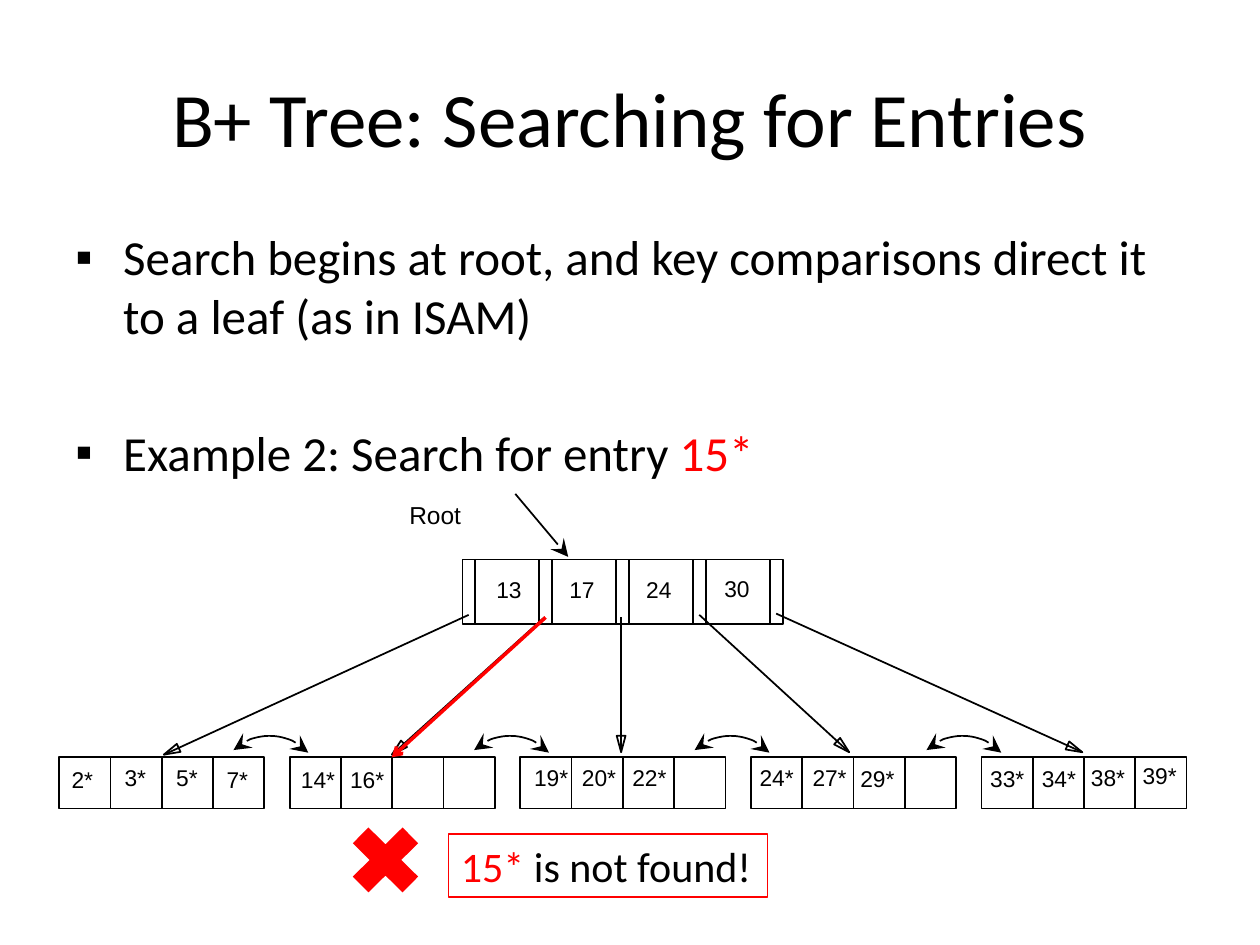
from math import hypot
from lxml.etree import SubElement
from pptx import Presentation
from pptx.dml.color import RGBColor
from pptx.enum.shapes import MSO_CONNECTOR, MSO_SHAPE
from pptx.enum.text import MSO_ANCHOR, PP_ALIGN
from pptx.oxml.ns import qn
from pptx.util import Inches, Pt

BLACK = RGBColor(0, 0, 0)
RED = RGBColor(255, 0, 0)


def grid(*spots):
    """Turn columns and rows (100 by 75 on the slide) into lengths."""
    return [Inches(spot / 10) for spot in spots]


def stroke(shape, color=BLACK, width=1, head=None, tail=None, size="med"):
    """Leave only an outline, with arrowheads at its ends if named."""
    shape.line.color.rgb = color
    shape.line.width = Pt(width)
    props = shape.element.spPr
    for tag, kind in (("a:headEnd", head), ("a:tailEnd", tail)):
        if kind:
            SubElement(props.get_or_add_ln(), qn(tag),
                       type=kind, w=size, len=size)
    if hasattr(shape, "fill"):
        shape.fill.background()
        shape.shadow.inherit = False
    else:
        SubElement(props, qn("a:effectLst"))


deck = Presentation()
deck.slide_width, deck.slide_height = grid(100, 75)
slide = deck.slides.add_slide(deck.slide_layouts[6])
shapes = slide.shapes

# Title
title = shapes.add_textbox(*grid(5, 3, 90, 12.5)).text_frame
title.word_wrap = True
title.vertical_anchor = MSO_ANCHOR.MIDDLE
title.text = "B+ Tree: Searching for Entries"
line = title.paragraphs[0]
line.alignment = PP_ALIGN.CENTER
line.font.size = Pt(44)
line.font.name = "Calibri"
line.font.color.rgb = BLACK

# Bullets
body = shapes.add_textbox(*grid(5, 17.5, 90, 49.5)).text_frame
body.word_wrap = True
body.text = ("Search begins at root, and key comparisons direct it "
             "to a leaf (as in ISAM)\nExample 2: Search for entry ")
body.paragraphs[1].add_run().text = "15*"
for line in body.paragraphs:
    props = line._p.get_or_add_pPr()
    props.set("marL", str(Inches(0.38)))
    props.set("indent", str(-Inches(0.38)))
    SubElement(props, qn("a:buFont"), typeface="Arial")
    SubElement(props, qn("a:buChar"), char="▪")
    line.font.size = Pt(28)
    line.font.name = "Calibri"
    line.font.color.rgb = BLACK
body.paragraphs[1].space_before = Pt(44.5)
body.paragraphs[1].runs[1].font.color.rgb = RED

# Root node: four keys, each after a slim pointer slot, and a last slot
left, top, step, slot, high = 36.7, 44.4, 6.1, 1.02, 5.1
cells = []
for col in range(4):
    cells.append((left + col * step, top, slot, high))
    cells.append((left + col * step + slot, top, step - slot, high))
cells.append((left + 4 * step, top, slot, high))

# Leaves: five nodes of four cells
first, floor, pitch, side = 4.7, 60.1, 18.3, 4.07
for leaf in range(5):
    for col in range(4):
        cells.append((first + leaf * pitch + col * side, floor, side, side))

for cell in cells:
    stroke(shapes.add_shape(MSO_SHAPE.RECTANGLE, *grid(*cell)))

# Pointers from root to leaves, with open triangular heads
long, half = 1.3, 0.35
for x1, y1, x2, y2 in ((37.2, 48.8, 13, 59.9), (43.2, 49, 31.1, 59.9),
                       (49.3, 49, 49.3, 59.7), (55.5, 48.8, 67.4, 59.7),
                       (61.6, 48.7, 85.9, 59.7)):
    stroke(shapes.add_connector(MSO_CONNECTOR.STRAIGHT, *grid(x1, y1, x2, y2)))
    size = hypot(x2 - x1, y2 - y1)
    dx, dy = (x2 - x1) / size, (y2 - y1) / size
    bx, by = x2 - long * dx, y2 - long * dy
    pen = shapes.build_freeform(*grid(x2, y2))
    pen.add_line_segments([grid(bx - half * dy, by + half * dx),
                           grid(bx + half * dy, by - half * dx)])
    stroke(pen.convert_to_shape())

# Labels: text, left, top, width, size
labels = [("Root", 31.5, 39.2, 6.4, 14)]
labels += [(key, x, y, 4.1, 13) for key, x, y in (
    ("13", 38.4, 45.2), ("17", 44.2, 45.2), ("24", 50.3, 45.2),
    ("30", 56.5, 45.1))]
labels += [(key + "*", x, y, 2.8 + len(key), 13) for key, x, y in (
    ("2", 4.7, 60.3), ("3", 8.9, 60.1), ("5", 13, 60.1), ("7", 17, 60.3),
    ("14", 22.9, 60.3), ("16", 26.8, 60.3),
    ("19", 41.4, 60.1), ("20", 45.2, 60.1), ("22", 49.2, 60.1),
    ("24", 59.3, 60.1), ("27", 63.5, 60.1), ("29", 67.3, 60.2),
    ("33", 77.6, 60.2), ("34", 81.7, 60.2), ("38", 85.6, 60.1),
    ("39", 89.7, 60))]
for text, x, y, wide, size in labels:
    frame = shapes.add_textbox(*grid(x, y, wide, 3.2)).text_frame
    frame.word_wrap = False
    frame.text = text
    font = frame.paragraphs[0].runs[0].font
    font.size = Pt(size)
    font.name = "Arial"
    font.color.rgb = BLACK

# Arrow to the root, and links between neighbouring leaves
stroke(shapes.add_connector(MSO_CONNECTOR.STRAIGHT,
                            *grid(40.9, 39.2, 45.1, 44.2)),
       tail="stealth", size="lg")
for mid in (21.4, 40.5, 58, 76.4):
    link = shapes.add_shape(MSO_SHAPE.ARC, *grid(mid - 4.2, 58.4, 8.4, 8.4))
    link.rotation = 317
    stroke(link, head="stealth", tail="stealth", size="lg")

# Search route and outcome
route = shapes.add_connector(MSO_CONNECTOR.STRAIGHT,
                             *grid(43.3, 49, 31.1, 60.1))
stroke(route, RED, 2, tail="arrow")

cross = shapes.add_shape(MSO_SHAPE.MATH_MULTIPLY, *grid(26.8, 64.5, 7.6, 7.5))
cross.shadow.inherit = False
cross.fill.solid()
cross.fill.fore_color.rgb = RED
cross.line.fill.background()

note = shapes.add_shape(MSO_SHAPE.RECTANGLE, *grid(35.6, 66.2, 25.3, 5))
stroke(note, RED, 0.75)
note.text_frame.word_wrap = False
line = note.text_frame.paragraphs[0]
line.alignment = PP_ALIGN.LEFT
for text, color in (("15*", RED), (" is not found!", BLACK)):
    run = line.add_run()
    run.text = text
    run.font.size = Pt(24)
    run.font.name = "Calibri"
    run.font.color.rgb = color

deck.save("out.pptx")
